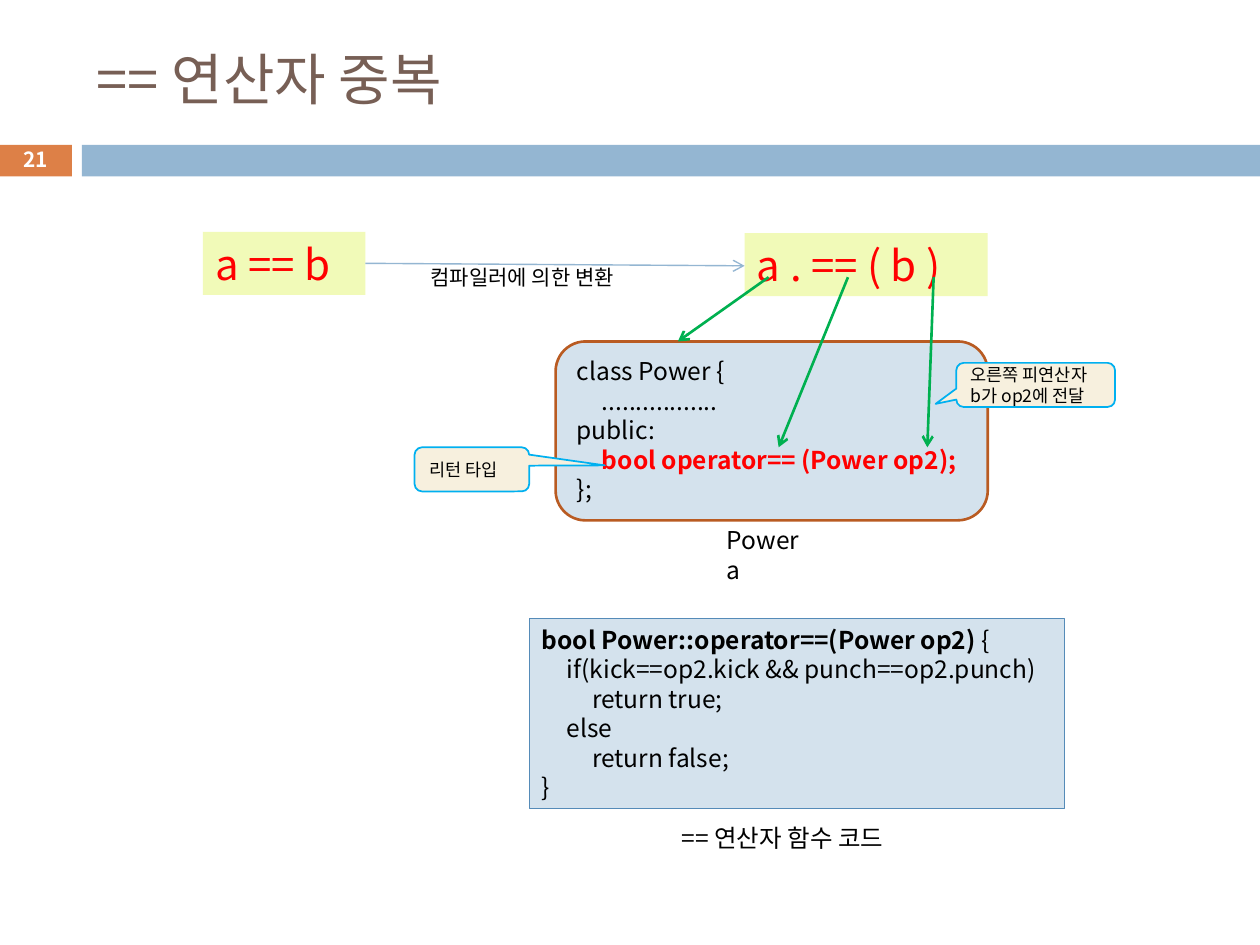
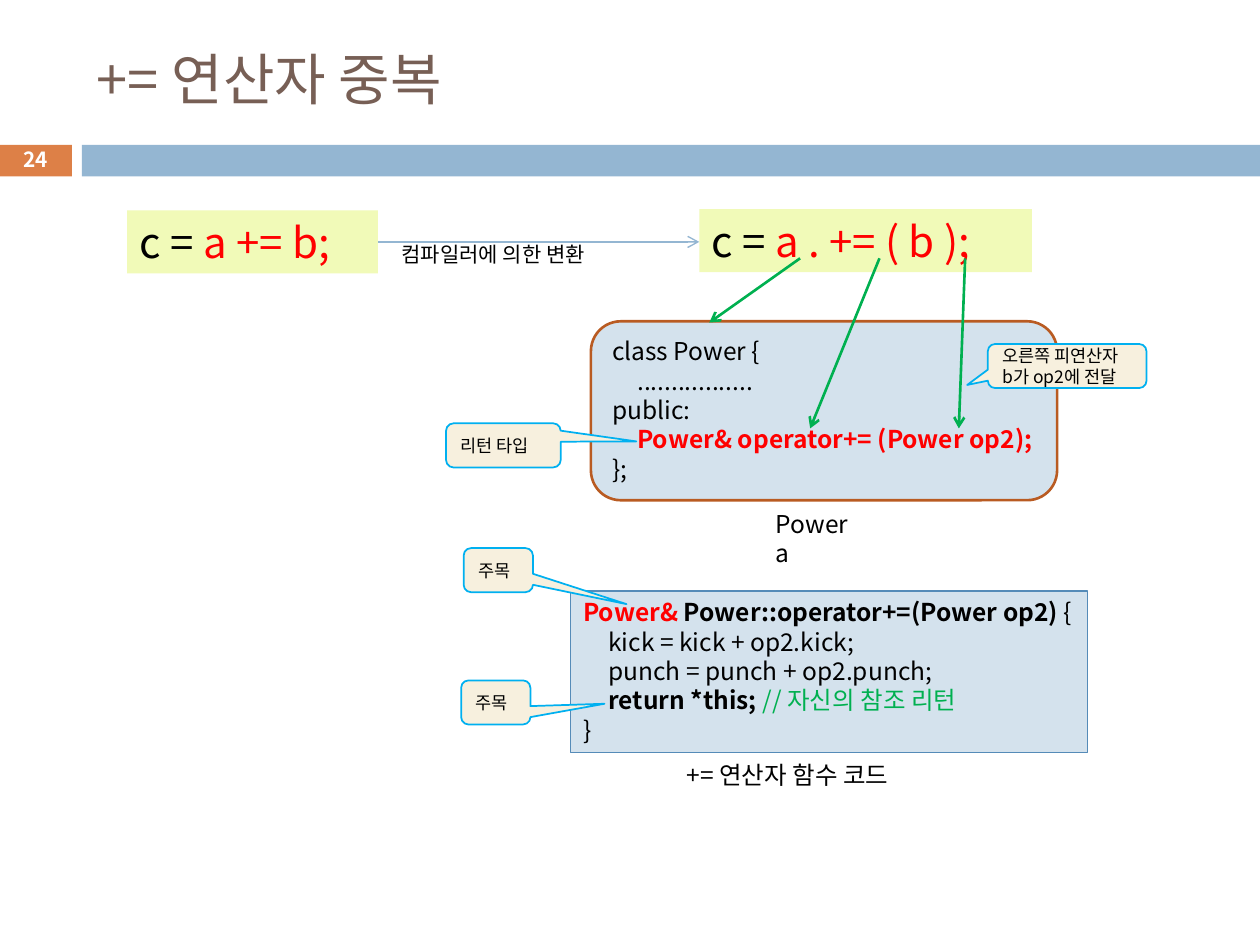
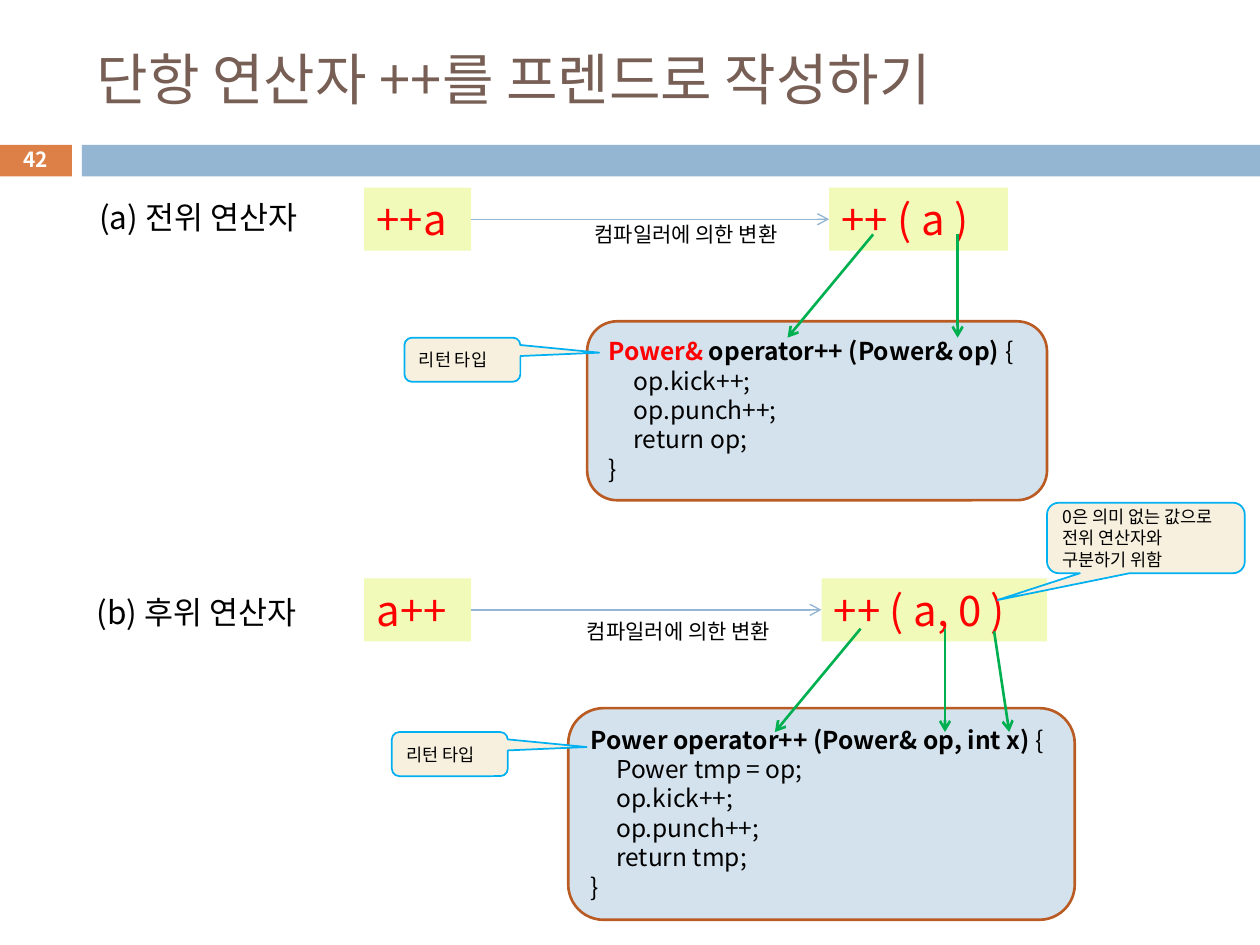
from lxml.etree import SubElement
from pptx import Presentation
from pptx.dml.color import RGBColor
from pptx.enum.shapes import MSO_CONNECTOR, MSO_SHAPE as Shape
from pptx.enum.text import MSO_ANCHOR as Anchor, PP_ALIGN as Align
from pptx.oxml.ns import qn
from pptx.util import Inches, Pt

FONT = "Noto Sans CJK KR"
COLORS = {
    "title": "775F55", "orange": "DD8047", "blue": "94B6D2", "white": "FFFFFF",
    "black": "000000", "red": "FF0000", "green": "00B050", "lime": "F1FAB8",
    "pale": "D4E2ED", "rust": "B95B22", "steel": "558BB8", "cream": "F7F0DE", "sky": "00B0F0",
}
EXPRESSION = dict(kind=Shape.RECTANGLE, fill="lime", size=24, color="red")
CLASS_BOX = dict(kind=Shape.ROUNDED_RECTANGLE, fill="pale", line="rust", line_width=1.5)
CODE_BOX = dict(kind=Shape.RECTANGLE, fill="pale", line="steel", line_width=0.75)
CALLOUT = dict(kind=Shape.ROUNDED_RECTANGULAR_CALLOUT, fill="cream", line="sky",
               size=10, anchor=Anchor.MIDDLE)
TAB_STEP = 0.2
CONVERSION = "컴파일러에 의한 변환"


def add_text(page, at, lines, kind=None, fill=None, line=None, line_width=1, size=14,
             color="black", bold=False, align=Align.LEFT, anchor=Anchor.TOP, tip=None):
    """Add a box; each line is a string or a list of (text, color, bold) spans."""
    place = [Inches(length) for length in at]
    if kind is None:
        box = page.shapes.add_textbox(*place)
    else:
        box = page.shapes.add_shape(kind, *place)
        box.shadow.inherit = False
        box.fill.solid()
        box.fill.fore_color.rgb = RGBColor.from_string(COLORS[fill])
        if line:
            box.line.color.rgb = RGBColor.from_string(COLORS[line])
            box.line.width = Pt(line_width)
        else:
            box.line.fill.background()
    if tip:
        box.adjustments[0], box.adjustments[1] = tip
    frame = box.text_frame
    frame.word_wrap = True
    frame.vertical_anchor = anchor
    for index, content in enumerate([lines] if isinstance(lines, str) else lines):
        para = frame.paragraphs[0] if index == 0 else frame.add_paragraph()
        para.alignment = align
        spans = [(content, color, bold)] if isinstance(content, str) else content
        if spans[0][0].startswith("\t"):
            tabs = SubElement(para._p.get_or_add_pPr(), qn("a:tabLst"))
            for stop in (1, 2):
                SubElement(tabs, qn("a:tab"), pos=str(Inches(TAB_STEP * stop)), algn="l")
        for text, span_color, span_bold in spans:
            span = para.add_run()
            span.text = text
            span.font.size = Pt(size)
            span.font.bold = span_bold
            span.font.color.rgb = RGBColor.from_string(COLORS[span_color])
            span.font.name = FONT
            SubElement(span._r.get_or_add_rPr(), qn("a:ea"), typeface=FONT)
    return box


def add_arrow(page, start, end, color="green", width=1.5):
    arrow = page.shapes.add_connector(MSO_CONNECTOR.STRAIGHT,
                                      *[Inches(length) for length in (*start, *end)])
    arrow.line.color.rgb = RGBColor.from_string(COLORS[color])
    arrow.line.width = Pt(width)
    SubElement(arrow.line._get_or_add_ln(), qn("a:tailEnd"), type="arrow")
    SubElement(arrow._element.spPr, qn("a:effectLst"))


deck = Presentation()
deck.slide_width, deck.slide_height = Inches(10), Inches(7.5)

# Title, bands and page number of every slide
pages = []
for title, number in [("== 연산자 중복", "21"), ("+= 연산자 중복", "24"),
                      ("단항 연산자 ++를 프렌드로 작성하기", "42")]:
    page = deck.slides.add_slide(deck.slide_layouts[6])
    add_text(page, (-0.01, 1.15, 0.58, 0.25), [], kind=Shape.RECTANGLE, fill="orange")
    add_text(page, (0.65, 1.15, 9.35, 0.25), [], kind=Shape.RECTANGLE, fill="blue")
    add_text(page, (0.67, 0.25, 8.92, 0.74), title, size=32, color="title", anchor=Anchor.MIDDLE)
    add_text(page, (-0.01, 1.13, 0.58, 0.27), number, size=11.9, color="white", bold=True,
             align=Align.CENTER, anchor=Anchor.MIDDLE)
    pages.append(page)
equal_page, plus_page, unary_page = pages

# Binary operators: expression, class with the member function, function code
binary_operators = [
    dict(
        page=equal_page, shift=(0, 0),
        before=((1.61, 1.84, 1.29, 0.5), "a == b"),
        after=((5.91, 1.85, 1.93, 0.5), "a . == ( b )"),
        conversion=((2.9, 2.09), (5.91, 2.11)), conversion_label=(3.32, 2.05, 2.06, 0.3),
        class_at=(4.41, 2.71, 3.43, 1.42), member="\tbool operator== (Power op2);",
        object_at=(5.67, 4.12, 0.91, 0.34), return_at=(3.29, 3.55, 0.91, 0.35),
        code_at=(4.2, 4.91, 4.25, 1.51),
        code=[
            [("bool Power::operator==(Power op2) ", "black", True), ("{", "black", False)],
            "\tif(kick==op2.kick && punch==op2.punch)",
            "\t\treturn true;",
            "\telse",
            "\t\treturn false;",
            "}",
        ],
        caption=((5.31, 6.48, 2.05, 0.34), "== 연산자 함수 코드"),
    ),
    dict(
        page=plus_page, shift=(0.25, -0.15),
        before=((1.01, 1.67, 1.99, 0.5),
                [[("c = ", "black", False), ("a += b;", "red", False)]]),
        after=((5.55, 1.66, 2.64, 0.5),
               [[("c = ", "black", False), ("a . += ( b );", "red", False)]]),
        conversion=((3, 1.92), (5.55, 1.92)), conversion_label=(3.09, 1.87, 2.06, 0.3),
        class_at=(4.69, 2.55, 3.7, 1.42), member="\tPower& operator+= (Power op2);",
        object_at=(6.06, 3.99, 0.91, 0.34), return_at=(3.54, 3.36, 0.91, 0.35),
        code_at=(4.53, 4.69, 4.1, 1.28),
        code=[
            [("Power& ", "red", True), ("Power::operator+=(Power op2) ", "black", True),
             ("{", "black", False)],
            "\tkick = kick + op2.kick;",
            "\tpunch = punch + op2.punch;",
            [("\treturn *this; ", "black", True), ("// 자신의 참조 리턴", "green", False)],
            "}",
        ],
        caption=((5.35, 5.98, 2.05, 0.34), "+= 연산자 함수 코드"),
    ),
]
for operator in binary_operators:
    page = operator["page"]
    dx, dy = operator["shift"]
    add_text(page, operator["class_at"], [
        "class Power {",
        "\t.................",
        "public:",
        [(operator["member"], "red", True)],
        "};",
    ], **CLASS_BOX)
    add_text(page, operator["code_at"], operator["code"], **CODE_BOX)
    add_text(page, *operator["before"], **EXPRESSION)
    add_text(page, *operator["after"], **EXPRESSION)
    add_arrow(page, *operator["conversion"], color="blue", width=0.79)
    add_text(page, operator["conversion_label"], CONVERSION, size=12)
    add_text(page, operator["object_at"], "Power a")
    for start, end in [((7.41, 2.2), (7.36, 3.55)), ((6.73, 2.2), (6.18, 3.55)),
                       ((6.1, 2.2), (5.38, 2.71))]:
        add_arrow(page, (start[0] + dx, start[1] + dy), (end[0] + dx, end[1] + dy))
    add_text(page, operator["return_at"], "리턴 타입", tip=(1.16, -0.09), **CALLOUT)
    add_text(page, (7.59 + dx, 2.88 + dy, 1.26, 0.35), "오른쪽 피연산자 b가 op2에 전달",
             tip=(-0.63, 0.43), **CALLOUT)
    add_text(page, *operator["caption"])

for at, tip in [((3.66, 5.4, 0.55, 0.35), (1.57, 0.03)), ((3.68, 4.35, 0.55, 0.35), (1.85, 0.77))]:
    add_text(plus_page, at, "주목", tip=tip, **CALLOUT)

# Unary operators: prefix above, postfix below
unary_operators = [
    dict(
        heading=((0.69, 1.52, 1.93, 0.4), "(a) 전위 연산자"),
        top=1.49, before="++a", after="++ ( a )", after_left=6.58, after_width=1.42,
        conversion_label=(4.62, 1.71, 2.06, 0.3),
        code_at=(4.66, 2.55, 3.65, 1.42),
        code=[
            [("Power& ", "red", True), ("operator++ (Power& op) ", "black", True),
             ("{", "black", False)],
            "\top.kick++;",
            "\top.punch++;",
            "\treturn op;",
            "}",
        ],
        return_at=(3.21, 2.68, 0.92, 0.35),
        arrows=[((6.93, 1.86), (6.25, 2.68)), ((7.6, 1.86), (7.6, 2.68))],
    ),
    dict(
        heading=((0.67, 4.66, 1.95, 0.4), "(b) 후위 연산자"),
        top=4.59, before="a++", after="++ ( a, 0 )", after_left=6.52, after_width=1.79,
        conversion_label=(4.56, 4.86, 2.06, 0.3),
        code_at=(4.51, 5.62, 4.02, 1.68),
        code=[
            [("Power operator++ (Power& op, int x) ", "black", True), ("{", "black", False)],
            "\tPower tmp = op;",
            "\top.kick++;",
            "\top.punch++;",
            "\treturn tmp;",
            "}",
        ],
        return_at=(3.11, 5.81, 0.92, 0.35),
        arrows=[((6.83, 4.99), (6.15, 5.81)), ((7.5, 4.99), (7.5, 5.81)),
                ((7.89, 5.01), (8.01, 5.81))],
    ),
]
for operator in unary_operators:
    top, after_left = operator["top"], operator["after_left"]
    add_text(unary_page, *operator["heading"], size=18)
    add_text(unary_page, (2.89, top, 0.85, 0.5), operator["before"], **EXPRESSION)
    add_text(unary_page, (after_left, top, operator["after_width"], 0.5), operator["after"],
             **EXPRESSION)
    add_arrow(unary_page, (3.74, top + 0.25), (after_left, top + 0.25), color="blue", width=0.79)
    add_text(unary_page, operator["conversion_label"], CONVERSION, size=12)
    add_text(unary_page, operator["code_at"], operator["code"], **CLASS_BOX)
    add_text(unary_page, operator["return_at"], "리턴 타입", tip=(1.18, -0.16), **CALLOUT)
    for start, end in operator["arrows"]:
        add_arrow(unary_page, start, end)
add_text(unary_page, (8.31, 3.99, 1.57, 0.56), "0은 의미 없는 값으로 전위 연산자와 구분하기 위함",
         tip=(-0.75, 0.88), **CALLOUT)

deck.save("out.pptx")
